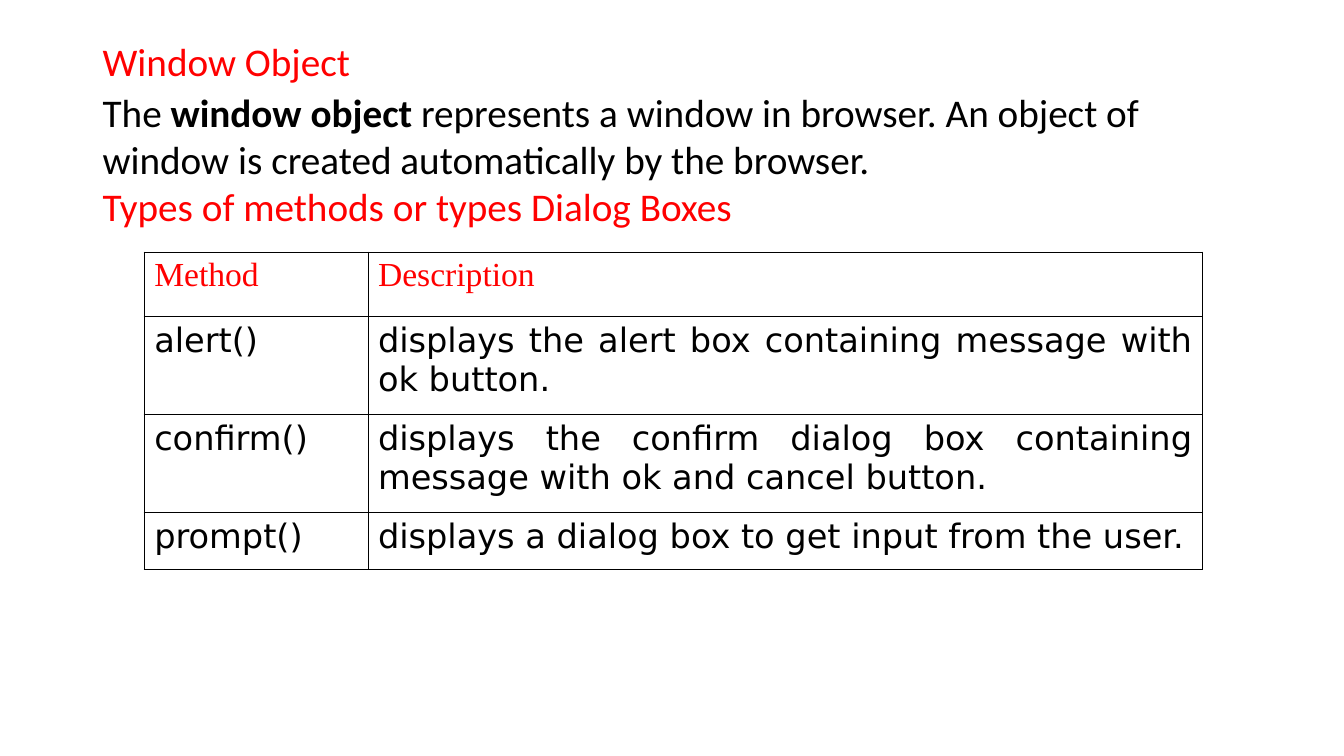
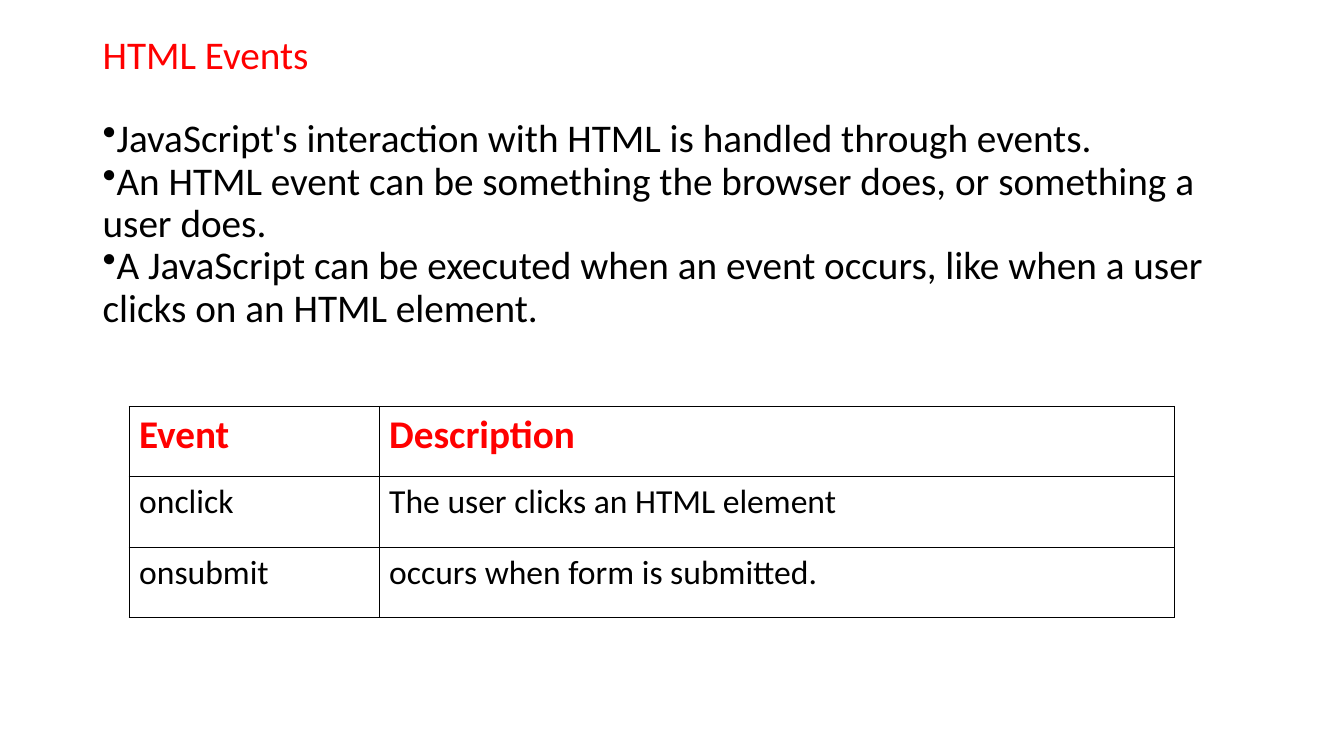
from dataclasses import dataclass

from pptx import Presentation
from pptx.dml.color import RGBColor
from pptx.enum.text import MSO_ANCHOR, PP_ALIGN
from pptx.oxml import parse_xml
from pptx.oxml.ns import nsdecls
from pptx.util import Inches, Pt

MIDDLE, TOP = MSO_ANCHOR.MIDDLE, MSO_ANCHOR.TOP
LEFT, JUSTIFY = PP_ALIGN.LEFT, PP_ALIGN.JUSTIFY


@dataclass(frozen=True)
class Theme:
    accent: str = "FF0000"
    ink: str = "000000"
    face: str = "Calibri"
    large: int = 28
    small: int = 24
    tight: float = 0.9
    rule: float = 0.75
    left: float = 0.92
    width: float = 11.5


THEME = Theme()


@dataclass(frozen=True)
class Style:
    color: str = THEME.ink
    size: int = THEME.large
    face: str = THEME.face
    bold: bool = False
    align: PP_ALIGN = LEFT
    space: float = 1.0
    bullet: bool = False


TITLE = Style(THEME.accent, space=THEME.tight)
TEXT = Style()
HEAD = Style(THEME.accent)
POINT = Style(space=THEME.tight, bullet=True)


@dataclass(frozen=True)
class Para:
    texts: tuple[str, ...]  # every second text is bold
    style: Style = TEXT


@dataclass(frozen=True)
class Grid:
    left: float
    top: float
    cols: tuple[float, ...]
    heights: tuple[float, ...]
    rows: tuple[tuple[str, ...], ...]
    head: Style
    body: Style


@dataclass(frozen=True)
class Page:
    title: str
    title_top: float
    title_height: float
    text_top: float
    text_height: float
    paras: tuple[Para, ...]
    grid: Grid


PAGES = (
    Page(
        "Window Object", 0.4, 0.46, 0.83, 6.49,
        (
            Para(("The ", "window object",
                  " represents a window in browser. An object of window "
                  "is created automatically by the browser.")),
            Para(("Types of methods or types Dialog Boxes",), HEAD),
        ),
        Grid(
            1.43, 2.5, (2.22, 8.28), (0.64, 0.97, 0.97, 0.57),
            (
                ("Method", "Description"),
                ("alert()",
                 "displays the alert box containing message with ok button."),
                ("confirm()",
                 "displays the confirm dialog box containing message "
                 "with ok and cancel button."),
                ("prompt()",
                 "displays a dialog box to get input from the user."),
            ),
            Style(THEME.accent, THEME.small, "Times New Roman"),
            Style(size=THEME.small, face="DejaVu Sans", align=JUSTIFY),
        ),
    ),
    Page(
        "HTML Events", 0.27, 0.59, 1.13, 5.63,
        (
            Para(("JavaScript's interaction with HTML is handled "
                  "through events.",), POINT),
            Para(("An HTML event can be something the browser does, "
                  "or something a user does.",), POINT),
            Para(("A JavaScript can be executed when an event occurs, "
                  "like when a user clicks on an HTML element.",), POINT),
        ),
        Grid(
            1.28, 4.03, (2.48, 7.89), (0.7,) * 3,
            (
                ("Event", "Description"),
                ("onclick", "The user clicks an HTML element"),
                ("onsubmit", "occurs when form is submitted."),
            ),
            Style(THEME.accent, bold=True),
            Style(size=THEME.small, align=JUSTIFY),
        ),
    ),
)


# Text
def write(line, para: Para) -> None:
    style = para.style
    for i, text in enumerate(para.texts):
        run = line.add_run()
        run.text = text
        if i % 2:
            run.font.bold = True
    line.alignment = style.align
    line.line_spacing = style.space
    if style.bullet:
        mark = parse_xml(f'<a:buChar {nsdecls("a")} char="•"/>')
        line._p.get_or_add_pPr().append(mark)
    font = line.font
    font.name, font.size, font.bold = style.face, Pt(style.size), style.bold
    font.color.rgb = RGBColor.from_string(style.color)


def add_text(slide, top: float, height: float, paras: tuple[Para, ...],
             anchor: MSO_ANCHOR = TOP) -> None:
    box = slide.shapes.add_textbox(Inches(THEME.left), Inches(top),
                                   Inches(THEME.width), Inches(height))
    frame = box.text_frame
    frame.word_wrap = True
    frame.vertical_anchor = anchor
    for i, para in enumerate(paras):
        write(frame.add_paragraph() if i else frame.paragraphs[0], para)


# Table
def add_edges(cell) -> None:
    props = cell._tc.get_or_add_tcPr()
    for i, side in enumerate("LRTB"):
        props.insert(i, parse_xml(
            f'<a:ln{side} {nsdecls("a")} w="{Pt(THEME.rule)}"><a:solidFill>'
            f'<a:srgbClr val="{THEME.ink}"/></a:solidFill></a:ln{side}>'))


def add_grid(slide, grid: Grid) -> None:
    table = slide.shapes.add_table(
        len(grid.rows), len(grid.cols), Inches(grid.left), Inches(grid.top),
        Inches(sum(grid.cols)), Inches(sum(grid.heights))).table
    table.first_row = table.horz_banding = False
    for col, width in zip(table.columns, grid.cols):
        col.width = Inches(width)
    for r, (height, texts) in enumerate(zip(grid.heights, grid.rows)):
        table.rows[r].height = Inches(height)
        for c, text in enumerate(texts):
            cell = table.cell(r, c)
            cell.fill.background()
            add_edges(cell)
            style = grid.body if r else grid.head
            write(cell.text_frame.paragraphs[0], Para((text,), style))


# Slides
def main() -> None:
    deck = Presentation()
    deck.slide_width, deck.slide_height = Inches(13.33), Inches(7.5)
    for page in PAGES:
        slide = deck.slides.add_slide(deck.slide_layouts[6])
        add_text(slide, page.title_top, page.title_height,
                 (Para((page.title,), TITLE),), MIDDLE)
        add_text(slide, page.text_top, page.text_height, page.paras)
        add_grid(slide, page.grid)
    deck.save("out.pptx")


if __name__ == "__main__":
    main()
